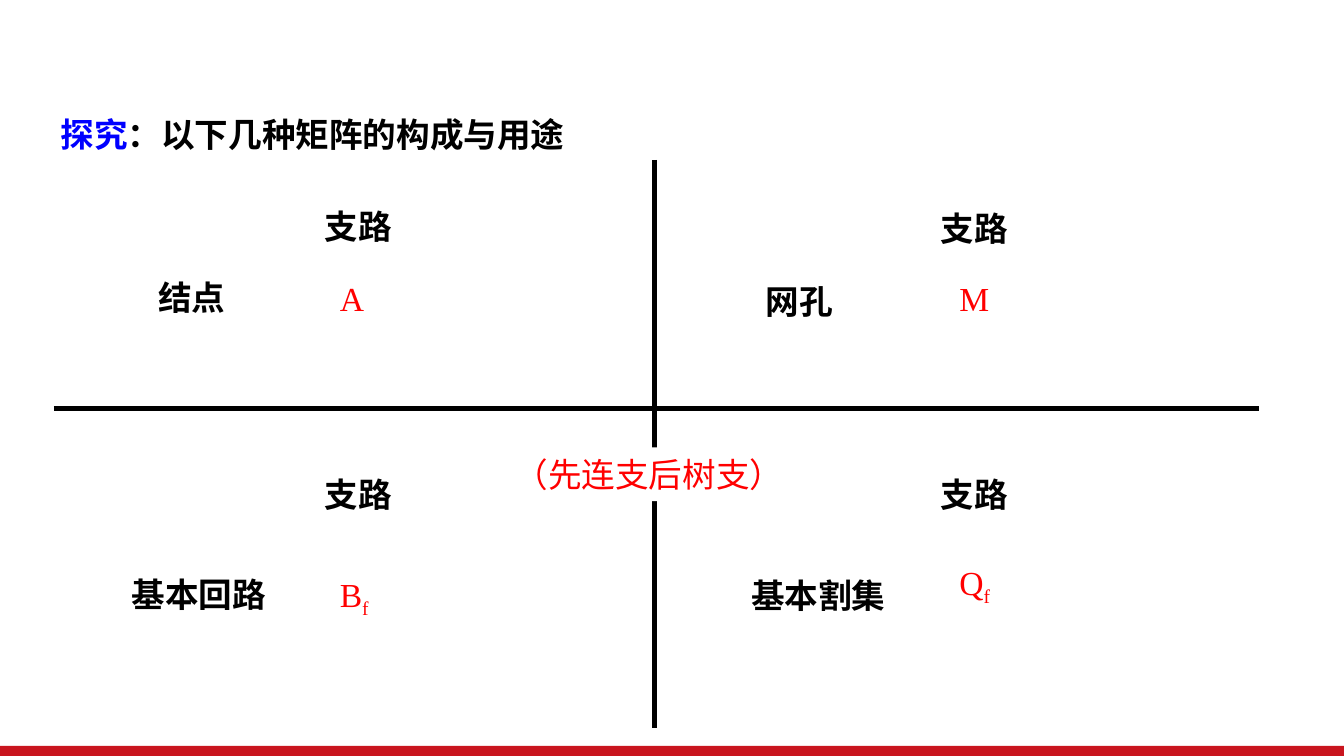
import pptx
import pptx.util
import pptx.dml.color
import pptx.enum.shapes
import pptx.enum.text
import pptx.oxml

WIDTH = 10
HEIGHT = WIDTH * 9 / 16
FOOTER_TOP = 5.55
LINE_HEIGHT = 0.4
FONT = "Times New Roman"
COLORS = {"ink": "000000", "matrix": "FF0000", "topic": "0000FF",
          "paper": "FFFFFF", "footer": "C9151E"}
AXIS_X, AXIS_Y = 4.87, 3.04
COLUMNS = {
    "left": {"branch": 2.32, "matrix": 2.43},
    "right": {"branch": 6.9, "matrix": 7.04},
}
QUADRANTS = [
    ("left", 1.48, ("结点", 1.08, 2.01, 1.14), ("A", "", 2.02)),
    ("right", 1.5, ("网孔", 5.6, 2.04, 1.14), ("M", "", 2.02)),
    ("left", 3.48, ("基本回路", 0.88, 4.22, 1.62), ("B", "f", 4.22)),
    ("right", 3.48, ("基本割集", 5.49, 4.23, 1.67), ("Q", "f", 4.13)),
]


def rgb(name):
    """Return the named colour."""
    return pptx.dml.color.RGBColor.from_string(COLORS[name])


def box(left, top, width, height=LINE_HEIGHT):
    """Convert a rectangle in inches to slide units."""
    return [pptx.util.Inches(v) for v in (left, top, width, height)]


def write(shape, text, color="ink", bold=False, subscript=False, align="LEFT"):
    """Append a formatted run to the first paragraph of a shape."""
    frame = shape.text_frame
    frame.word_wrap = True
    frame.vertical_anchor = pptx.enum.text.MSO_ANCHOR.TOP
    frame.auto_size = pptx.enum.text.MSO_AUTO_SIZE.SHAPE_TO_FIT_TEXT
    paragraph = frame.paragraphs[0]
    paragraph.alignment = getattr(pptx.enum.text.PP_ALIGN, align)
    run = paragraph.add_run()
    run.text = text
    run.font.name = FONT
    run.font.size = pptx.util.Pt(18)
    run.font.bold = bold
    run.font.color.rgb = rgb(color)
    if subscript:
        run._r.get_or_add_rPr().set("baseline", "-25000")


def add_label(slide, text, left, top, width=1.62, **style):
    """Add a one-line text box and return it."""
    label = slide.shapes.add_textbox(*box(left, top, width))
    write(label, text, **style)
    return label


def add_bar(slide, color, *place):
    """Add a plain filled rectangle and return it."""
    bar = slide.shapes.add_shape(
        pptx.enum.shapes.MSO_SHAPE.RECTANGLE, *box(*place))
    bar.shadow.inherit = False
    bar.fill.solid()
    bar.fill.fore_color.rgb = rgb(color)
    bar.line.fill.background()
    return bar


def add_axis(slide, *ends):
    """Add a thick dividing line between two points."""
    axis = slide.shapes.add_connector(
        pptx.enum.shapes.MSO_CONNECTOR.STRAIGHT, *box(*ends))
    axis.line.color.rgb = rgb("ink")
    axis.line.width = pptx.util.Pt(3)
    effects = pptx.oxml.parse_xml(
        '<a:effectLst xmlns:a="http://schemas.openxmlformats.org/drawingml/2006/main"/>')
    axis._element.spPr.append(effects)


def add_quadrant(slide, side, branch_top, row, matrix):
    """Add one matrix with its column and row headings."""
    columns = COLUMNS[side]
    symbol, index, matrix_top = matrix
    name = add_label(slide, symbol, columns["matrix"], matrix_top, color="matrix")
    if index:
        write(name, index, color="matrix", subscript=True)
    add_label(slide, *row, bold=True)
    add_label(slide, "支路", columns["branch"], branch_top, 1.14, bold=True)


def add_title(slide):
    """Place and format the slide title."""
    title = slide.shapes.title
    title.left, title.top, title.width, title.height = box(0.35, 0.8, 8.41)
    write(title, "探究", color="topic", bold=True, align="JUSTIFY")
    write(title, "：以下几种矩阵的构成与用途", bold=True, align="JUSTIFY")


def main():
    """Build the slide and save it."""
    deck = pptx.Presentation()
    deck.slide_width = pptx.util.Inches(WIDTH)
    deck.slide_height = pptx.util.Inches(HEIGHT)
    slide = deck.slides.add_slide(deck.slide_layouts[5])
    add_bar(slide, "footer", 0, FOOTER_TOP, WIDTH, HEIGHT - FOOTER_TOP)
    add_axis(slide, 0.4, AXIS_Y, 9.37, AXIS_Y)
    add_axis(slide, AXIS_X, 1.19, AXIS_X, 5.42)
    for quadrant in QUADRANTS:
        add_quadrant(slide, *quadrant)
    order_note = add_bar(slide, "paper", 3.73, 3.33, 3.2, LINE_HEIGHT)
    write(order_note, "（先连支后树支）", color="matrix")
    add_title(slide)
    deck.save("out.pptx")


if __name__ == "__main__":
    main()
